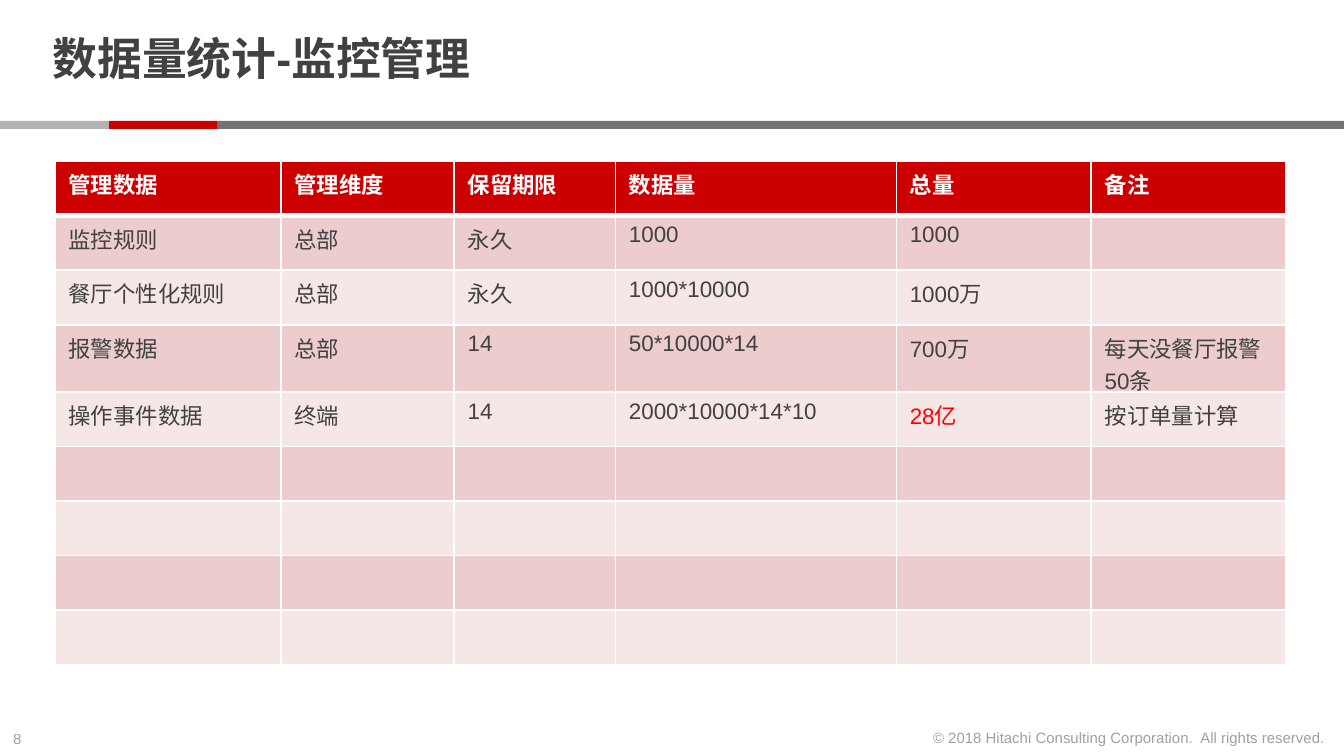
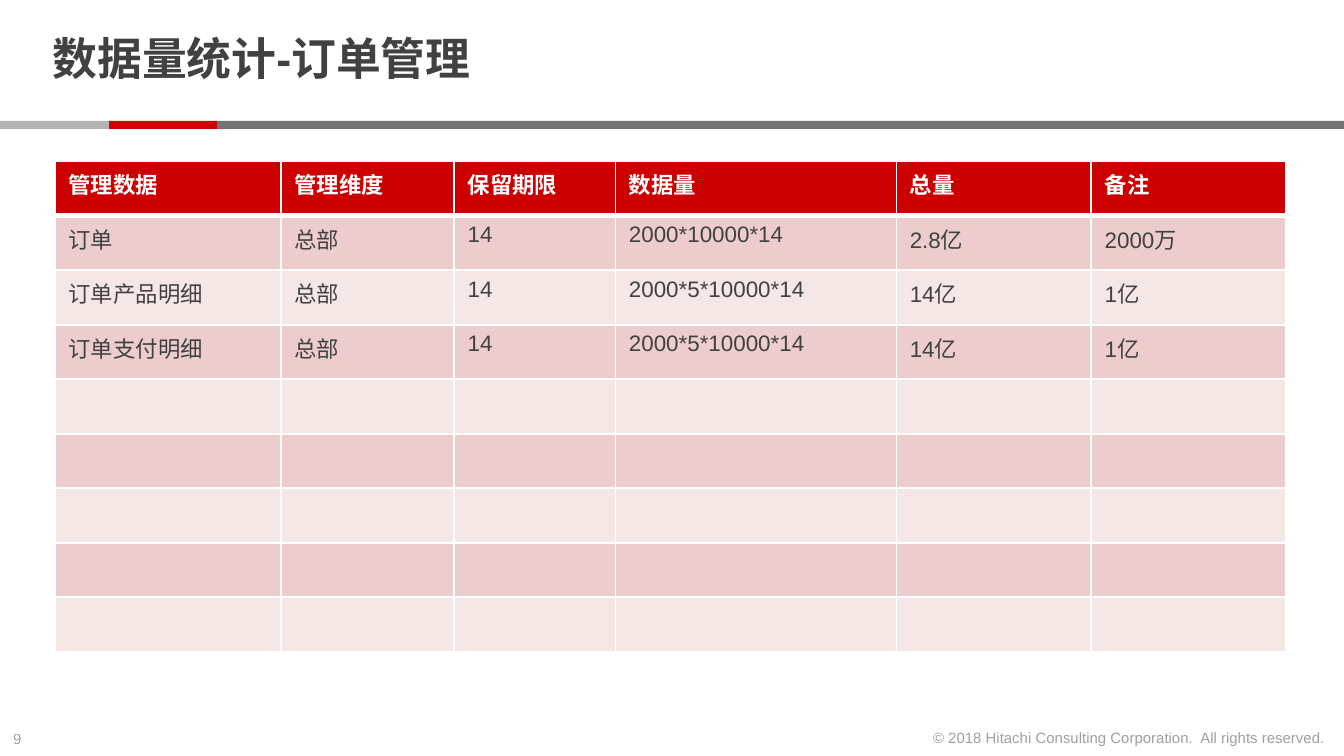
from dataclasses import dataclass

from lxml import etree
from pptx import Presentation
from pptx.dml.color import RGBColor
from pptx.enum.shapes import MSO_SHAPE
from pptx.enum.text import MSO_ANCHOR, MSO_AUTO_SIZE, PP_ALIGN
from pptx.oxml.ns import qn
from pptx.util import Inches, Pt

RECTANGLE = MSO_SHAPE.RECTANGLE
MIDDLE = MSO_ANCHOR.MIDDLE
FIT_SHAPE = MSO_AUTO_SIZE.SHAPE_TO_FIT_TEXT
NO_FIT = MSO_AUTO_SIZE.NONE
LEFT = PP_ALIGN.LEFT
RIGHT = PP_ALIGN.RIGHT


@dataclass(frozen=True)
class Theme:
    font: str = "Arial"
    text: str = "414141"
    white: str = "FFFFFF"
    red: str = "CC0000"
    alert: str = "FF0000"
    dark_gray: str = "737373"
    light_gray: str = "B3B3B3"
    row_fills: tuple = ("ECCCCC", "F6E7E7")
    title_size: int = 24
    table_size: int = 12
    footer_size: int = 8


THEME = Theme()
FIRST_PAGE = 8
COPYRIGHT = "© 2018 Hitachi Consulting Corporation.  All rights reserved."
BANDS = [
    (1.62, 8.38, THEME.dark_gray),
    (0.81, 0.81, THEME.red),
    (0, 0.81, THEME.light_gray),
]
COLUMN_WIDTHS = [1.68, 1.29, 1.2, 2.09, 1.45, 1.45]
ROW_COUNT = 9
ROWS_HEIGHT = 3.65
HEADERS = ["管理数据", "管理维度", "保留期限", "数据量", "总量", "备注"]
ALERT_VALUES = {"28亿"}
PAGES = [
    ("数据量统计-监控管理", 3.74, [
        ["监控规则", "总部", "永久", "1000", "1000", ""],
        ["餐厅个性化规则", "总部", "永久", "1000*10000", "1000万", ""],
        ["报警数据", "总部", "14", "50*10000*14", "700万", "每天没餐厅报警50条"],
        ["操作事件数据", "终端", "14", "2000*10000*14*10", "28亿", "按订单量计算"],
    ]),
    ("数据量统计-订单管理", 3.65, [
        ["订单", "总部", "14", "2000*10000*14", "2.8亿", "2000万"],
        ["订单产品明细", "总部", "14", "2000*5*10000*14", "14亿", "1亿"],
        ["订单支付明细", "总部", "14", "2000*5*10000*14", "14亿", "1亿"],
    ]),
]


def style_paragraph(paragraph, size, color, bold=False, align=LEFT):
    paragraph.alignment = align
    font = paragraph.font
    font.name = THEME.font
    font.size = Pt(size)
    font.bold = bold
    font.color.rgb = RGBColor.from_string(color)


def add_title(slide, text):
    title = slide.shapes.title
    title.left, title.top = Inches(0.29), Inches(0.06)
    title.width, title.height = Inches(7.71), Inches(0.8)
    frame = title.text_frame
    frame.text = text
    frame.word_wrap = True
    frame.auto_size = NO_FIT
    frame.vertical_anchor = MIDDLE
    frame.margin_left = frame.margin_right = Inches(0.1)
    frame.margin_top = frame.margin_bottom = 0
    paragraph = frame.paragraphs[0]
    paragraph.line_spacing = 0.85
    style_paragraph(paragraph, THEME.title_size, THEME.text, bold=True)


def add_bands(slide):
    group = slide.shapes.add_group_shape()
    for left, width, color in BANDS:
        band = group.shapes.add_shape(
            RECTANGLE, Inches(left), Inches(0.9), Inches(width), Inches(0.06))
        band.shadow.inherit = False
        band.fill.solid()
        band.fill.fore_color.rgb = RGBColor.from_string(color)
        band.line.fill.background()


def add_footer_text(slide, text, left, top, width, align):
    box = slide.shapes.add_textbox(
        Inches(left), Inches(top), Inches(width), Inches(0.24))
    frame = box.text_frame
    frame.text = text
    frame.word_wrap = False
    frame.auto_size = FIT_SHAPE
    paragraph = frame.paragraphs[0]
    style_paragraph(paragraph, THEME.footer_size, THEME.text, align=align)
    for color in paragraph._p.iter(qn("a:srgbClr")):
        etree.SubElement(color, qn("a:alpha"), val="50000")


def add_border(cell, side, width):
    properties = cell._tc.get_or_add_tcPr()
    line = etree.SubElement(properties, qn(f"a:ln{side}"), w=str(Pt(width)))
    fill = etree.SubElement(line, qn("a:solidFill"))
    etree.SubElement(fill, qn("a:srgbClr"), val=THEME.white)


def format_cell(cell, text, row):
    is_header = row == 0
    thick_side = {0: "B", 1: "T"}.get(row)
    for side in "LRTB":
        add_border(cell, side, 3 if side == thick_side else 1)
    fill = THEME.red if is_header else THEME.row_fills[(row - 1) % 2]
    cell.fill.solid()
    cell.fill.fore_color.rgb = RGBColor.from_string(fill)
    if is_header:
        color = THEME.white
    else:
        color = THEME.alert if text in ALERT_VALUES else THEME.text
    cell.text = text
    style_paragraph(cell.text_frame.paragraphs[0], THEME.table_size, color, is_header)


def add_data_table(slide, records, height):
    shape = slide.shapes.add_table(
        ROW_COUNT, len(HEADERS), Inches(0.41), Inches(1.2),
        Inches(sum(COLUMN_WIDTHS)), Inches(ROWS_HEIGHT))
    table = shape.table
    for column, width in zip(table.columns, COLUMN_WIDTHS):
        column.width = Inches(width)
    shape.height = Inches(height)
    blank_rows = [[""] * len(HEADERS)] * (ROW_COUNT - 1 - len(records))
    for row, values in enumerate([HEADERS] + records + blank_rows):
        for column, text in enumerate(values):
            format_cell(table.cell(row, column), text, row)


def main():
    presentation = Presentation()
    presentation.slide_width = Inches(10)
    presentation.slide_height = Inches(10) * 9 // 16
    title_only = presentation.slide_layouts[5]
    for number, (title, table_height, records) in enumerate(PAGES, FIRST_PAGE):
        slide = presentation.slides.add_slide(title_only)
        add_footer_text(slide, str(number), 0, 5.38, 0.34, LEFT)
        add_bands(slide)
        add_footer_text(slide, COPYRIGHT, 6.8, 5.37, 3.16, RIGHT)
        add_title(slide, title)
        add_data_table(slide, records, table_height)
    presentation.save("out.pptx")


if __name__ == "__main__":
    main()
